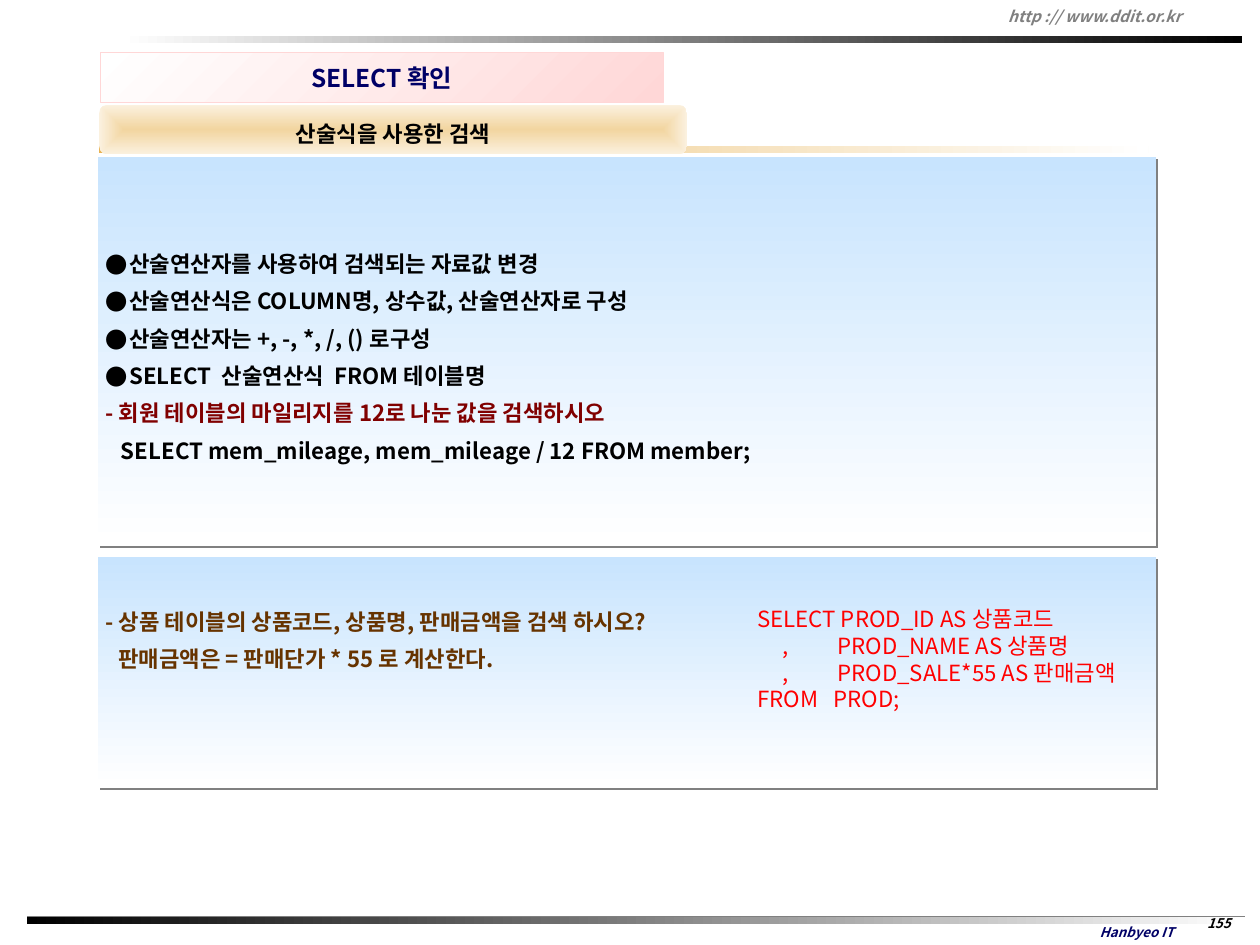
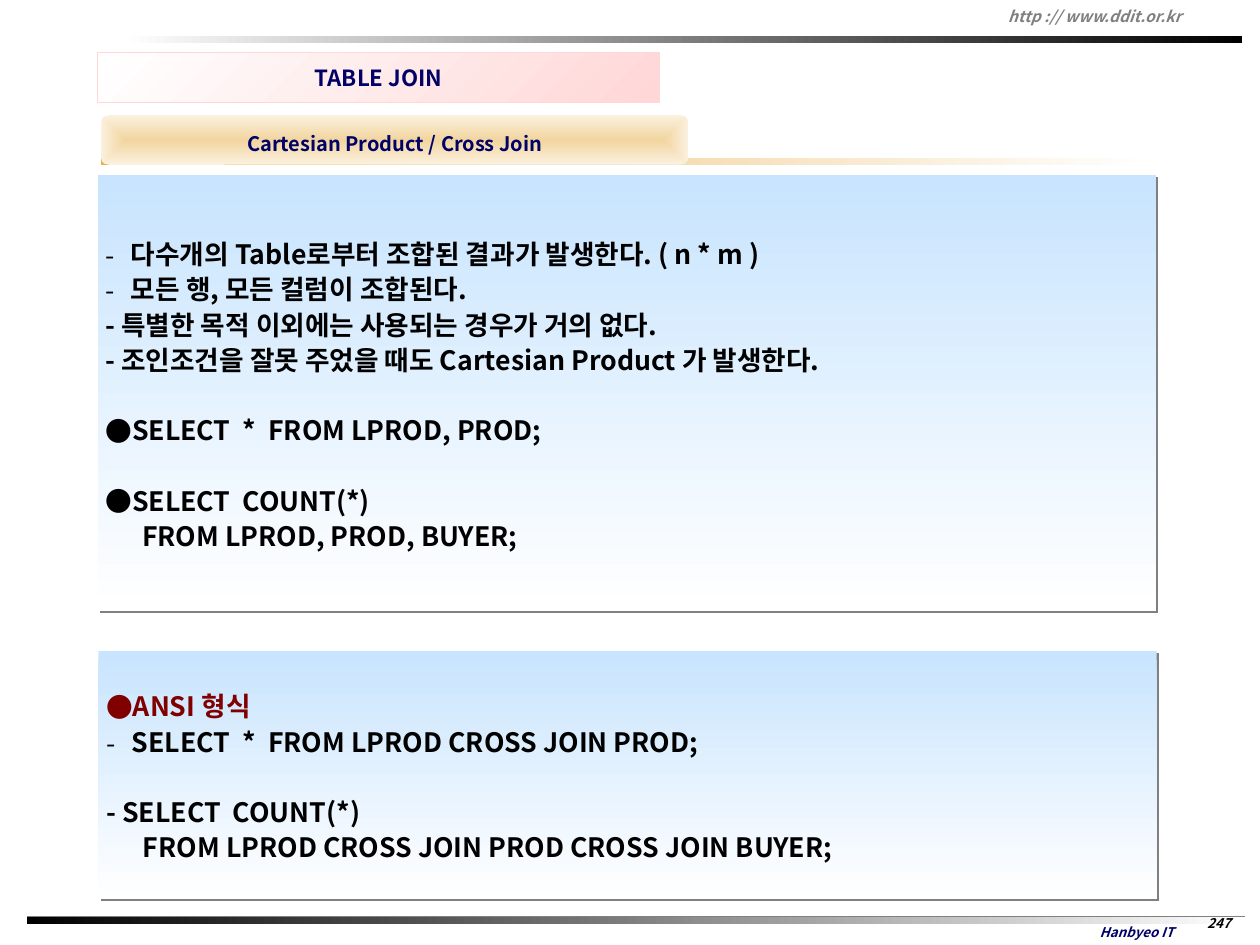
from collections import namedtuple
from dataclasses import dataclass

from lxml import etree
from pptx import Presentation
from pptx.dml.color import RGBColor
from pptx.enum.shapes import MSO_CONNECTOR as Connector, MSO_SHAPE as Shape
from pptx.enum.text import MSO_ANCHOR as Anchor, PP_ALIGN as Align
from pptx.oxml.ns import qn
from pptx.util import Pt

Box = namedtuple("Box", "left top width height")


@dataclass(frozen=True)
class Theme:
    font: str = "Noto Sans CJK KR"
    black: str = "000000"
    white: str = "FFFFFF"
    gray: str = "808080"
    navy: str = "000066"
    maroon: str = "800000"
    brown: str = "663300"
    red: str = "FF0000"
    pink: str = "FFD7D7"
    sky: str = "C8E4FE"
    gold: str = "E8B354"
    sand: str = "F2D5A0"
    cream: str = "FBF1DF"
    footer: int = 12
    address: int = 14
    small: int = 18
    body: int = 20
    title: int = 22
    large: int = 24


THEME = Theme()
PAGE_WIDTH, PAGE_HEIGHT = 1134, 850.5
PANEL_WIDTH = 952.5
BAR_HEIGHT = 6.5
CODE_TAB = 72


@dataclass(frozen=True)
class Line:
    """One paragraph: its text, bullet, left margin, space before and colour."""
    text: str
    bullet: str = ""
    margin: float = 0
    before: float = 0
    color: str = THEME.black


def points(box):
    return [Pt(value) for value in box]


def set_all(target, values):
    for name, value in values.items():
        setattr(target, name, value)


def write(frame, lines, size, spacing=1.0, align=Align.LEFT, anchor=Anchor.MIDDLE,
          wrap=True, bold=True, italic=False, insets=(7.2, 3.6, 7.2, 3.6)):
    left, top, right, bottom = points(insets)
    set_all(frame, dict(margin_left=left, margin_top=top, margin_right=right,
                        margin_bottom=bottom, vertical_anchor=anchor, word_wrap=wrap))
    for index, line in enumerate(lines):
        para = frame.paragraphs[0] if index == 0 else frame.add_paragraph()
        set_all(para, dict(alignment=align, line_spacing=spacing))
        if line.before:
            para.space_before = Pt(line.before)
        properties = para._p.get_or_add_pPr()
        if line.margin:
            properties.set("marL", str(Pt(line.margin)))
        if line.bullet:
            properties.set("indent", str(-Pt(line.margin)))
            etree.SubElement(properties, qn("a:buFont"), typeface=THEME.font)
            etree.SubElement(properties, qn("a:buChar"), char=line.bullet)
        if "\t" in line.text:
            tabs = etree.SubElement(properties, qn("a:tabLst"))
            etree.SubElement(tabs, qn("a:tab"), pos=str(Pt(CODE_TAB)), algn="l")
        span = para.add_run()
        span.text = line.text
        set_all(span.font, dict(name=THEME.font, size=Pt(size), bold=bold, italic=italic))
        span.font.color.rgb = RGBColor.from_string(line.color)
        etree.SubElement(span._r.rPr, qn("a:ea"), typeface=THEME.font)


def add_label(page, box, lines, size, **style):
    label = page.shapes.add_textbox(*points(box))
    write(label.text_frame, lines, size, **style)


def add_block(page, box, colors, angle=0, kind=Shape.RECTANGLE, outline=None):
    """Add a shape with a two-colour gradient; the angle runs clockwise."""
    block = page.shapes.add_shape(kind, *points(box))
    block.shadow.inherit = False
    block.fill.gradient()
    block.fill.gradient_angle = -angle % 360
    for position, (stop, color) in enumerate(zip(block.fill.gradient_stops, colors)):
        stop.position = position
        stop.color.rgb = RGBColor.from_string(color)
    if outline:
        block.line.color.rgb = RGBColor.from_string(outline)
        block.line.width = Pt(0.75)
    else:
        block.line.fill.background()
    return block


def add_frame(page, number):
    """Add the header and footer that every page carries."""
    footer = Box(24.5, 825, 1096, BAR_HEIGHT)
    rule = page.shapes.add_connector(
        Connector.STRAIGHT, *points((footer.left, footer.top,
                                     footer.left + footer.width, footer.top)))
    rule.line.color.rgb = RGBColor.from_string(THEME.gray)
    rule.line.width = Pt(1.5)
    etree.SubElement(rule._element.spPr, qn("a:effectLst"))
    add_block(page, footer, (THEME.black, THEME.white))
    add_label(page, Box(954.7, 826.5, 136.8, 24), [Line("Hanbyeo IT", color=THEME.navy)],
              THEME.footer, align=Align.CENTER, italic=True)
    add_block(page, Box(109.5, 32.4, 1008, BAR_HEIGHT), (THEME.white, THEME.black))
    add_label(page, Box(900, 1.4, 231, 27.4),
              [Line("http :// www.ddit.or.kr", color=THEME.gray)],
              THEME.address, italic=True)
    add_label(page, Box(1067, 820, 60, 22.3), [Line(number)], THEME.footer,
              align=Align.CENTER, anchor=Anchor.TOP, italic=True)


def add_title(page, left, text, size):
    title = add_block(page, Box(left, 47.5, 506, 44.6), (THEME.white, THEME.pink),
                      angle=45, outline=THEME.pink)
    write(title.text_frame, [Line(text, color=THEME.navy)], size,
          align=Align.CENTER, wrap=False)


def add_heading(page, box, rule_drop, line, size):
    """Add a glowing rounded heading over a fading rule."""
    add_block(page, Box(box.left, box.top + rule_drop, 944.6, BAR_HEIGHT),
              (THEME.gold, THEME.white))
    pill = add_block(page, box, (THEME.sand, THEME.cream), kind=Shape.ROUNDED_RECTANGLE)
    gradient = pill._element.spPr.find(qn("a:gradFill"))
    gradient.remove(gradient.find(qn("a:lin")))
    glow = etree.SubElement(gradient, qn("a:path"))
    glow.set("path", "shape")
    etree.SubElement(glow, qn("a:fillToRect"), dict.fromkeys("ltrb", "50000"))
    write(pill.text_frame, [line], size, spacing=1.3, align=Align.CENTER, wrap=False)


def add_panel(page, box, lines, size, spacing, bottom_space=0):
    panel = add_block(page, box, (THEME.sky, THEME.white), angle=90)
    effects = panel._element.spPr.find(qn("a:effectLst"))
    shadow = etree.SubElement(effects, qn("a:outerShdw"), dist=str(Pt(2.8)),
                              dir="2700000", algn="ctr", rotWithShape="0")
    etree.SubElement(shadow, qn("a:srgbClr"), val=THEME.gray)
    write(panel.text_frame, lines, size, spacing=spacing,
          insets=(7.2, 6.5, 7.2, 6.5 + bottom_space))


def add_arithmetic_page(deck):
    page = deck.slides.add_slide(deck.slide_layouts[6])
    add_frame(page, "155")
    add_title(page, 90.7, "SELECT 확인", THEME.title)
    add_heading(page, Box(89.3, 94.3, 529, 44.6), 36.7,
                Line("산술식을 사용한 검색"), THEME.body)
    rules = [Line(text, "●", 21.5) for text in (
        "산술연산자를 사용하여 검색되는 자료값 변경",
        "산술연산식은 COLUMN명, 상수값, 산술연산자로 구성",
        "산술연산자는 +, -, *, /, () 로구성",
        "SELECT  산술연산식  FROM 테이블명",
    )]
    example = [
        Line("- 회원 테이블의 마일리지를 12로 나눈 값을 검색하시오", color=THEME.maroon),
        Line("SELECT mem_mileage, mem_mileage / 12 FROM member;", margin=14),
    ]
    add_panel(page, Box(87.8, 141.5, PANEL_WIDTH, 350), rules + example, THEME.body, 1.4)
    exercise = [
        Line("- 상품 테이블의 상품코드, 상품명, 판매금액을 검색 하시오?", color=THEME.brown),
        Line("판매금액은 = 판매단가 * 55 로 계산한다.", margin=11.5, color=THEME.brown),
    ]
    add_panel(page, Box(87.8, 501, PANEL_WIDTH, 208), exercise, THEME.body, 1.4,
              bottom_space=67)
    answer = [Line(text, color=THEME.red) for text in (
        "SELECT PROD_ID AS 상품코드",
        "     ,\tPROD_NAME AS 상품명",
        "     ,\tPROD_SALE*55 AS 판매금액",
        "FROM   PROD;",
    )]
    add_label(page, Box(674.6, 541.4, 391, 104.4), answer, THEME.body,
              anchor=Anchor.TOP, bold=False)


def add_join_page(deck):
    page = deck.slides.add_slide(deck.slide_layouts[6])
    add_frame(page, "247")
    add_title(page, 87.8, "TABLE JOIN", THEME.body)
    add_heading(page, Box(90.7, 103.7, 529, 44.6), 38.2,
                Line("Cartesian Product / Cross Join", color=THEME.navy), THEME.small)
    gap = 31.7
    add_panel(page, Box(87.8, 157.7, PANEL_WIDTH, 392.4), [
        Line("다수개의 Table로부터 조합된 결과가 발생한다. ( n * m )", "-", 23),
        Line("모든 행, 모든 컬럼이 조합된다.", "-", 23),
        Line("- 특별한 목적 이외에는 사용되는 경우가 거의 없다."),
        Line("- 조인조건을 잘못 주었을 때도 Cartesian Product 가 발생한다."),
        Line("SELECT  *  FROM LPROD, PROD;", "●", 23, gap),
        Line("SELECT  COUNT(*)", "●", 23, gap),
        Line("FROM LPROD, PROD, BUYER;", margin=33),
    ], THEME.large, 1.1)
    add_panel(page, Box(88.6, 586, PANEL_WIDTH, 223.2), [
        Line("ANSI 형식", "●", 23, color=THEME.maroon),
        Line("SELECT  *  FROM LPROD CROSS JOIN PROD;", "-", 23),
        Line("- SELECT  COUNT(*)", before=gap),
        Line("FROM LPROD CROSS JOIN PROD CROSS JOIN BUYER;", margin=33),
    ], THEME.large, 1.1)


def main():
    deck = Presentation()
    set_all(deck, dict(slide_width=Pt(PAGE_WIDTH), slide_height=Pt(PAGE_HEIGHT)))
    add_arithmetic_page(deck)
    add_join_page(deck)
    deck.save("out.pptx")


if __name__ == "__main__":
    main()
